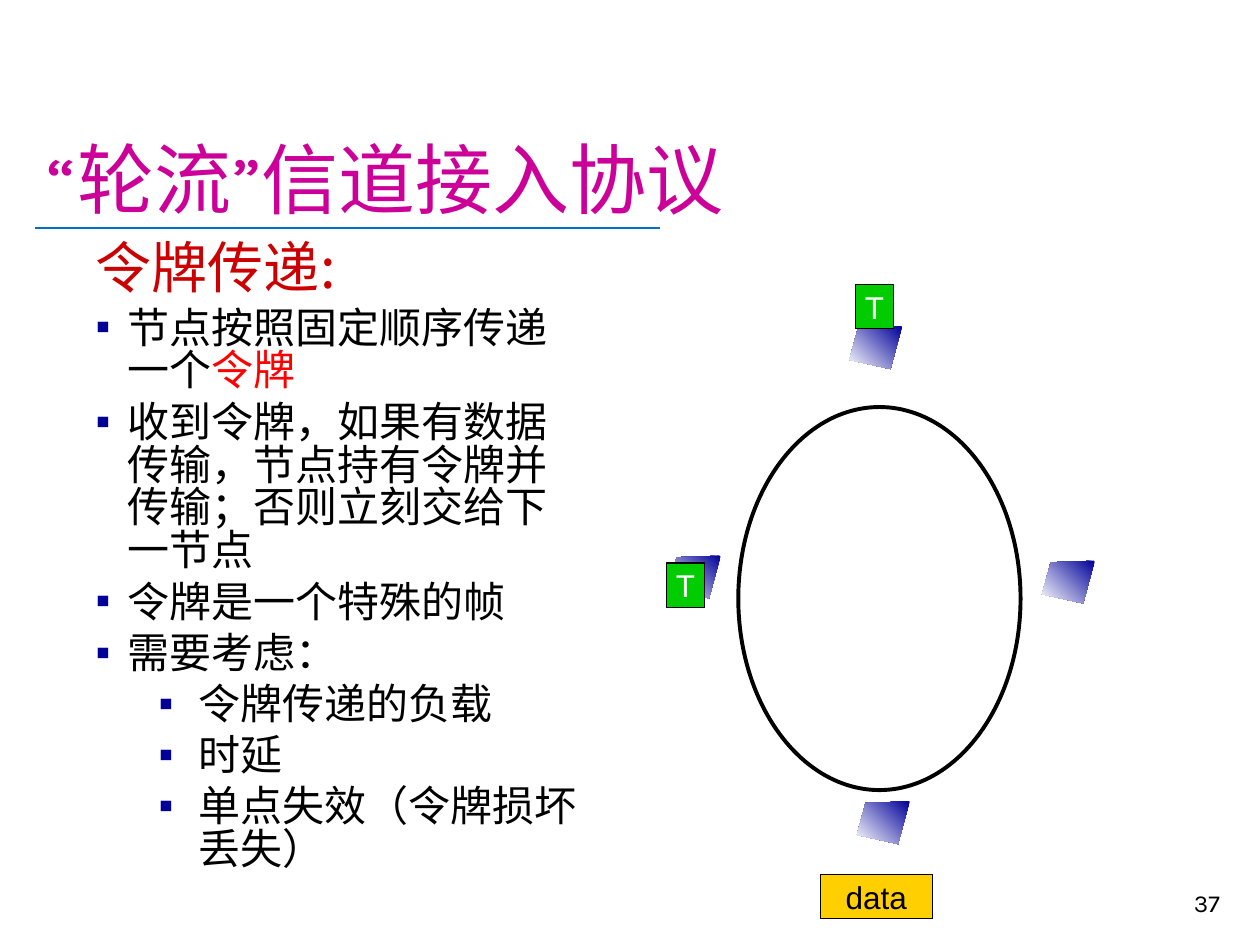
from dataclasses import dataclass

import lxml.etree
import pptx
import pptx.dml.color
import pptx.enum.shapes
import pptx.enum.text
import pptx.oxml.ns
import pptx.util

Pt = pptx.util.Pt
ALIGN = pptx.enum.text.PP_ALIGN
ANCHOR = pptx.enum.text.MSO_ANCHOR
SHAPES = pptx.enum.shapes.MSO_SHAPE
qn = pptx.oxml.ns.qn


@dataclass(frozen=True)
class Theme:
    title_font: str = "Karla"
    body_font: str = "Noto Sans CJK SC"
    label_font: str = "Arial"
    title: str = "CC0099"
    heading: str = "CC0000"
    emphasis: str = "FF0000"
    text: str = "000000"
    navy: str = "000099"
    white: str = "FFFFFF"
    rule: str = "0070C0"
    token: str = "00CC00"
    data: str = "FFCF01"
    title_size: float = 44
    heading_size: float = 32
    body_size: float = 24
    label_size: float = 18
    number_size: float = 14


THEME = Theme()


@dataclass(frozen=True)
class Point:
    text: str
    emphasis: str = ""
    level: int = 0


@dataclass(frozen=True)
class Label:
    text: str
    left: float
    top: float
    width: float
    fill: str
    color: str


HEADING = "令牌传递:"
POINTS = [
    Point("节点按照固定顺序传递一个", emphasis="令牌"),
    Point("收到令牌，如果有数据传输，节点持有令牌并传输；否则立刻交给下一节点"),
    Point("令牌是一个特殊的帧"),
    Point("需要考虑："),
    Point("令牌传递的负载", level=1),
    Point("时延", level=1),
    Point("单点失效（令牌损坏丢失）", level=1),
]
LEVEL_INDENTS = [(18, -18), (58.5, -22.5)]

STATION_OUTLINE = [(30.2, 0), (5, 0.9), (0, 19.2), (23.6, 24.4)]
STATIONS = [(595.4, 320.4), (381.6, 317.5), (485.3, 186.5), (489.6, 457.9)]

LABEL_HEIGHT = 25.2
LABELS = [
    Label("T", 488.9, 162.7, 21.6, THEME.token, THEME.white),
    Label("data", 468.7, 499.7, 64.1, THEME.data, THEME.text),
    Label("T", 380.9, 321.8, 21.6, THEME.token, THEME.white),
]


def rgb(color: str) -> pptx.dml.color.RGBColor:
    return pptx.dml.color.RGBColor.from_string(color)


def format_run(run, font: str, size: float, color: str) -> None:
    run.font.name = font
    run.font.size = Pt(size)
    run.font.color.rgb = rgb(color)
    east_asian = lxml.etree.SubElement(run.font._element, qn("a:ea"))
    east_asian.set("typeface", font)


def place(shape, left: float, top: float, width: float, height: float) -> None:
    shape.left, shape.top = Pt(left), Pt(top)
    shape.width, shape.height = Pt(width), Pt(height)


def set_bullet(paragraph, indents: tuple[float, float], char: str = "") -> None:
    """Set the hanging indent, with a navy bullet or none if char is empty."""
    properties = paragraph._p.get_or_add_pPr()
    margin, indent = indents
    properties.set("marL", str(Pt(margin)))
    properties.set("indent", str(Pt(indent)))
    if not char:
        lxml.etree.SubElement(properties, qn("a:buNone"))
        return
    color = lxml.etree.SubElement(properties, qn("a:buClr"))
    lxml.etree.SubElement(color, qn("a:srgbClr")).set("val", THEME.navy)
    lxml.etree.SubElement(properties, qn("a:buChar")).set("char", char)


def add_title(slide) -> None:
    title = slide.shapes.title
    place(title, 19.4, 16.6, 684.7, 115.2)
    frame = title.text_frame
    frame.text = "“轮流”信道接入协议"
    frame.auto_size = pptx.enum.text.MSO_AUTO_SIZE.NONE
    frame.vertical_anchor = ANCHOR.BOTTOM
    frame.paragraphs[0].alignment = ALIGN.LEFT
    format_run(frame.paragraphs[0].runs[0], THEME.title_font, THEME.title_size, THEME.title)


def add_rule(slide) -> None:
    rule = slide.shapes.add_connector(
        pptx.enum.shapes.MSO_CONNECTOR.STRAIGHT, Pt(20.2), Pt(130.3), Pt(377.3), Pt(130.3))
    rule.line.color.rgb = rgb(THEME.rule)
    rule.line.width = Pt(1.25)
    lxml.etree.SubElement(rule._element.spPr, qn("a:effectLst"))


def add_body(slide) -> None:
    body = slide.placeholders[1]
    place(body, 47.5, 135.4, 295.9, 365.8)
    frame = body.text_frame
    frame.auto_size = pptx.enum.text.MSO_AUTO_SIZE.NONE
    frame.text = HEADING
    heading = frame.paragraphs[0]
    set_bullet(heading, (27, -27))
    heading.line_spacing = 0.85
    heading.space_before = Pt(0)
    format_run(heading.runs[0], THEME.body_font, THEME.heading_size, THEME.heading)
    for point in POINTS:
        paragraph = frame.add_paragraph()
        paragraph.text = point.text
        paragraph.level = point.level
        set_bullet(paragraph, LEVEL_INDENTS[point.level], "▪")
        paragraph.line_spacing = 0.85
        paragraph.space_before = Pt(0.2 * THEME.body_size)
        format_run(paragraph.runs[0], THEME.body_font, THEME.body_size, THEME.text)
        if point.emphasis:
            emphasis = paragraph.add_run()
            emphasis.text = point.emphasis
            format_run(emphasis, THEME.body_font, THEME.body_size, THEME.emphasis)


def add_station(slide, left: float, top: float) -> None:
    corners = [(Pt(left + x), Pt(top + y)) for x, y in STATION_OUTLINE]
    builder = slide.shapes.build_freeform(*corners[0])
    builder.add_line_segments(corners[1:], close=True)
    station = builder.convert_to_shape()
    station.shadow.inherit = False
    station.line.fill.background()
    station.fill.gradient()
    station.fill.gradient_angle = 225
    for stop, color in zip(station.fill.gradient_stops, (THEME.navy, THEME.white)):
        stop.color.rgb = rgb(color)


def add_ring(slide) -> None:
    ring = slide.shapes.add_shape(SHAPES.OVAL, Pt(421.9), Pt(232.6), Pt(161.3), Pt(218.9))
    ring.shadow.inherit = False
    ring.fill.background()
    ring.line.color.rgb = rgb(THEME.text)
    ring.line.width = Pt(2.25)


def add_label(slide, label: Label) -> None:
    box = slide.shapes.add_shape(
        SHAPES.RECTANGLE, Pt(label.left), Pt(label.top), Pt(label.width), Pt(LABEL_HEIGHT))
    box.shadow.inherit = False
    box.fill.solid()
    box.fill.fore_color.rgb = rgb(label.fill)
    box.line.color.rgb = rgb(THEME.text)
    box.line.width = Pt(0.75)
    frame = box.text_frame
    frame.text = label.text
    frame.word_wrap = False
    frame.vertical_anchor = ANCHOR.MIDDLE
    frame.paragraphs[0].alignment = ALIGN.CENTER
    format_run(frame.paragraphs[0].runs[0], THEME.label_font, THEME.label_size, label.color)


def add_slide_number(slide) -> None:
    frame = slide.shapes.add_textbox(Pt(554.4), Pt(491.8), Pt(149.8), Pt(36)).text_frame
    frame.text = "37"
    frame.word_wrap = True
    frame.vertical_anchor = ANCHOR.BOTTOM
    frame.paragraphs[0].alignment = ALIGN.RIGHT
    format_run(frame.paragraphs[0].runs[0], THEME.title_font, THEME.number_size, THEME.text)


def main() -> None:
    deck = pptx.Presentation()
    deck.slide_width, deck.slide_height = Pt(720), Pt(540)
    slide = deck.slides.add_slide(deck.slide_layouts[1])
    add_rule(slide)
    add_title(slide)
    add_slide_number(slide)
    for left, top in STATIONS:
        add_station(slide, left, top)
    add_body(slide)
    add_ring(slide)
    for label in LABELS:
        add_label(slide, label)
    deck.save("out.pptx")


if __name__ == "__main__":
    main()
